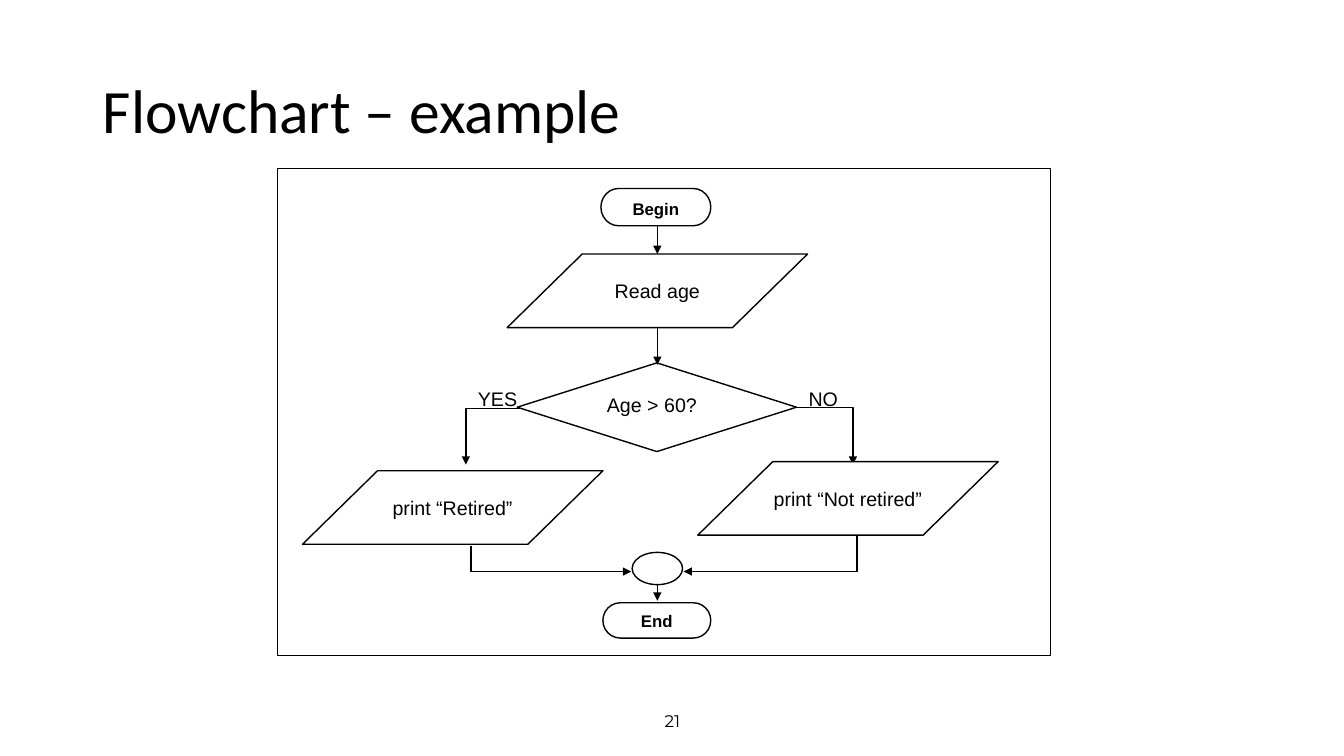
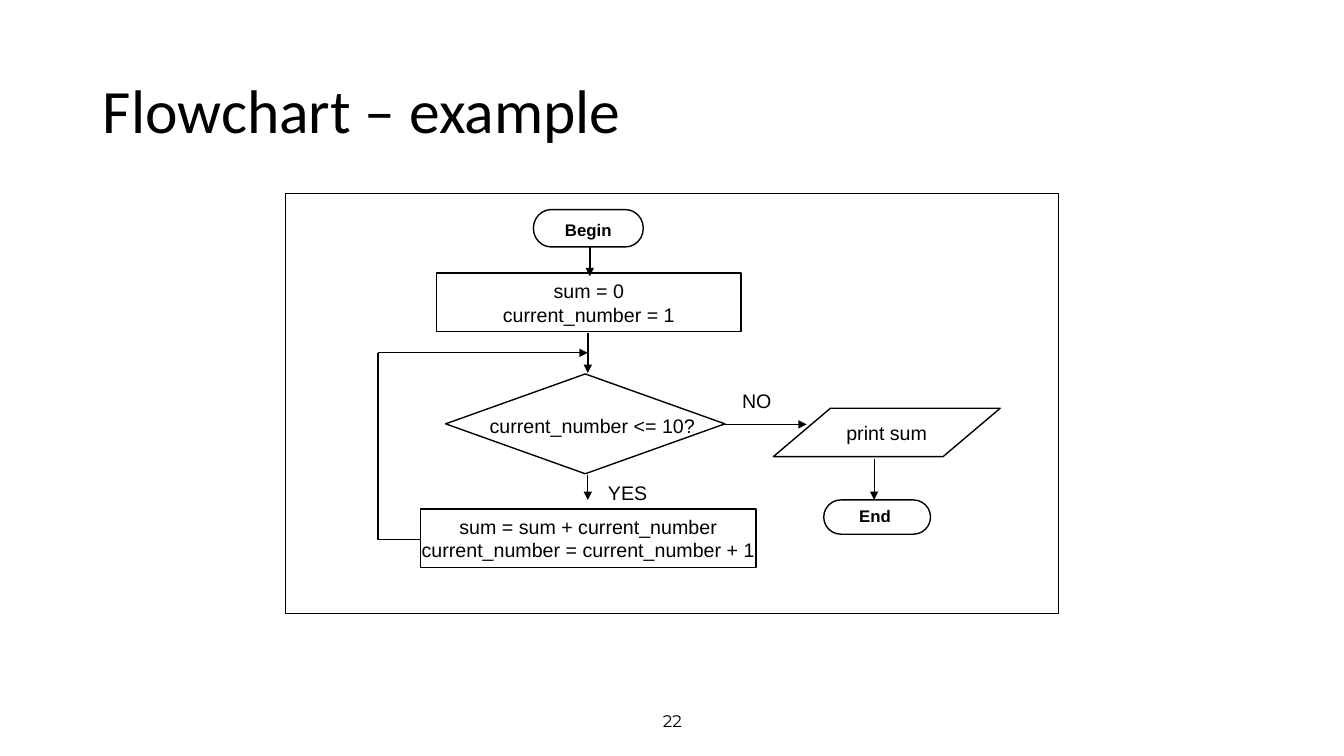
from lxml import etree
from pptx import Presentation
from pptx.dml.color import RGBColor
from pptx.enum.shapes import MSO_CONNECTOR, MSO_SHAPE
from pptx.enum.text import MSO_ANCHOR, MSO_AUTO_SIZE, PP_ALIGN
from pptx.oxml.ns import qn
from pptx.util import Pt

PX = 9144  # EMU per px, 100 px to the inch
SLIDE_SIZE = (1333, 750)
TITLE_ONLY = 5

BLACK = RGBColor(0x00, 0x00, 0x00)
WHITE = RGBColor(0xFF, 0xFF, 0xFF)
TITLE_FONT = "Calibri"
NUMBER_FONT = "Montserrat"
CHART_FONT = "Arial"

LEFT, CENTER = PP_ALIGN.LEFT, PP_ALIGN.CENTER
MIDDLE, TOP = MSO_ANCHOR.MIDDLE, MSO_ANCHOR.TOP
NO_AUTOFIT = MSO_AUTO_SIZE.NONE
STRAIGHT = MSO_CONNECTOR.STRAIGHT
RECTANGLE = MSO_SHAPE.RECTANGLE
TERMINATOR = MSO_SHAPE.FLOWCHART_TERMINATOR
DIAMOND = MSO_SHAPE.DIAMOND
PARALLELOGRAM = MSO_SHAPE.PARALLELOGRAM
OVAL = MSO_SHAPE.OVAL


def px(*lengths):
    return [length * PX for length in lengths]


def write_lines(frame, lines, font, size, align=CENTER, bold=False):
    """Fill a text frame with one paragraph per line."""
    for index, line in enumerate(lines):
        paragraph = frame.paragraphs[0] if index == 0 else frame.add_paragraph()
        paragraph.alignment = align
        run = paragraph.add_run()
        run.text = line
        run.font.name = font
        run.font.size = Pt(size)
        run.font.bold = bold
        run.font.color.rgb = BLACK


def set_margins(frame, left, top, right, bottom):
    frame.margin_left, frame.margin_top, frame.margin_right, frame.margin_bottom = px(
        left, top, right, bottom)


def outline(shape, width):
    shape.line.color.rgb = BLACK
    shape.line.width = Pt(width)


def add_page(prs, title_text, number):
    """Add a slide with the shared title and page number."""
    slide = prs.slides.add_slide(prs.slide_layouts[TITLE_ONLY])

    title = slide.shapes.title
    title.left, title.top, title.width, title.height = px(92, 40, 1150, 145)
    frame = title.text_frame
    frame.auto_size = NO_AUTOFIT
    frame.vertical_anchor = MIDDLE
    write_lines(frame, [title_text], TITLE_FONT, 44, LEFT)
    frame.paragraphs[0].line_spacing = 0.9

    footer = slide.shapes.add_textbox(*px(442, 695, 450, 40)).text_frame
    footer.word_wrap = True
    footer.vertical_anchor = MIDDLE
    write_lines(footer, [str(number)], NUMBER_FONT, 12)
    return slide


def add_node(slide, kind, box, lines=(), fill=None, width=1, size=14,
             bold=False, slant=None, nudge=(0, 0)):
    """Add a flowchart symbol; nudge moves its text off centre."""
    node = slide.shapes.add_shape(kind, *px(*box))
    node.shadow.inherit = False
    if slant is not None:
        node.adjustments[0] = slant
    if fill is None:
        node.fill.background()
    else:
        node.fill.solid()
        node.fill.fore_color.rgb = fill
    outline(node, width)
    if lines:
        frame = node.text_frame
        frame.word_wrap = False
        frame.vertical_anchor = MIDDLE
        dx, dy = nudge
        set_margins(frame, max(2 * dx, 0), max(2 * dy, 0),
                    max(-2 * dx, 0), max(-2 * dy, 0))
        write_lines(frame, lines, CHART_FONT, size, bold=bold)


def add_frame(slide, box):
    add_node(slide, RECTANGLE, box, width=0.75)


def add_terminal(slide, box, word, nudge=(0, 0)):
    add_node(slide, TERMINATOR, box, [word], WHITE, size=12, bold=True, nudge=nudge)


def add_io(slide, box, text, slant=1.02):
    add_node(slide, PARALLELOGRAM, box, [text], WHITE, slant=slant)


def add_route(slide, points, width=1, arrow=True):
    """Draw a flow line through the points, bent if there are more than two."""
    start, *rest = points
    if len(rest) == 1:
        route = slide.shapes.add_connector(STRAIGHT, *px(*start, *rest[0]))
        etree.SubElement(route._element.spPr, qn("a:effectLst"))
    else:
        builder = slide.shapes.build_freeform(*start, scale=PX)
        builder.add_line_segments(rest, close=False)
        route = builder.convert_to_shape()
        route.shadow.inherit = False
        route.fill.background()
    outline(route, width)
    if arrow:
        etree.SubElement(route.line._get_or_add_ln(), qn("a:tailEnd"), type="triangle")


def add_branch_label(slide, left, top, word):
    width = 62 if word == "YES" else 52
    frame = slide.shapes.add_textbox(*px(left, top, width, 35)).text_frame
    frame.word_wrap = False
    frame.vertical_anchor = TOP
    set_margins(frame, 11, 6, 11, 6)
    write_lines(frame, [word], CHART_FONT, 14, LEFT)


def draw_retirement_chart(slide):
    add_frame(slide, (275, 167, 767, 483))

    # Flow lines
    axis = 652
    for top, bottom in ((224, 252), (321, 362), (558, 596)):
        add_route(slide, [(axis, top), (axis, bottom)])
    add_route(slide, [(517, 405), (462, 405), (462, 461)])
    add_route(slide, [(790, 404), (846, 404), (846, 461)])
    add_route(slide, [(467, 542), (467, 567), (626, 567)])
    add_route(slide, [(850, 525), (850, 567), (678, 567)])

    # Symbols
    add_terminal(slide, (596, 187, 109, 37), "Begin", (0, 2))
    add_node(slide, DIAMOND, (513, 360, 277, 88), ["Age > 60?"], nudge=(-5, -3))
    for left, top, text in ((503, 252, "Read age"),
                            (300, 467, "print “Retired”"),
                            (692, 458, "print “Not retired”")):
        add_io(slide, (left, top, 298, 73), text)
    add_node(slide, OVAL, (627, 548, 50, 32), fill=WHITE)
    add_terminal(slide, (598, 598, 107, 35), "End")

    # Branch labels
    add_branch_label(slide, 463, 378, "YES")
    add_branch_label(slide, 791, 378, "NO")


def draw_sum_chart(slide):
    add_frame(slide, (283, 192, 767, 417))

    # Flow lines
    axis = 583
    add_route(slide, [(585, 245), (585, 274)])
    add_route(slide, [(axis, 330), (axis, 370)])
    add_route(slide, [(axis, 471), (axis, 496)], 0.75)
    add_route(slide, [(717, 421), (800, 421)], 0.75)
    add_route(slide, [(867, 455), (867, 496)], 0.75)

    # Loop back to the test
    add_route(slide, [(417, 535), (375, 535), (375, 350)], arrow=False)
    add_route(slide, [(375, 350), (axis, 350)], 0.75)

    # Symbols
    add_terminal(slide, (529, 208, 109, 37), "Begin", (0, 2))
    add_node(slide, RECTANGLE, (433, 271, 302, 58), ["sum = 0", "current_number = 1"])
    add_node(slide, DIAMOND, (442, 371, 277, 99), ["current_number <= 10?"],
             nudge=(7, 2))
    add_node(slide, RECTANGLE, (417, 505, 333, 58),
             ["sum = sum + current_number", "current_number = current_number + 1"])
    add_io(slide, (767, 405, 225, 48), "print sum", 1.18)
    add_terminal(slide, (817, 496, 106, 34), "End", (-2, -1))

    # Branch labels
    add_branch_label(slide, 725, 380, "NO")
    add_branch_label(slide, 592, 471, "YES")


def main():
    prs = Presentation()
    prs.slide_width, prs.slide_height = px(*SLIDE_SIZE)
    charts = (draw_retirement_chart, draw_sum_chart)
    for number, draw_chart in enumerate(charts, start=21):
        draw_chart(add_page(prs, "Flowchart – example", number))
    prs.save("out.pptx")


if __name__ == "__main__":
    main()
